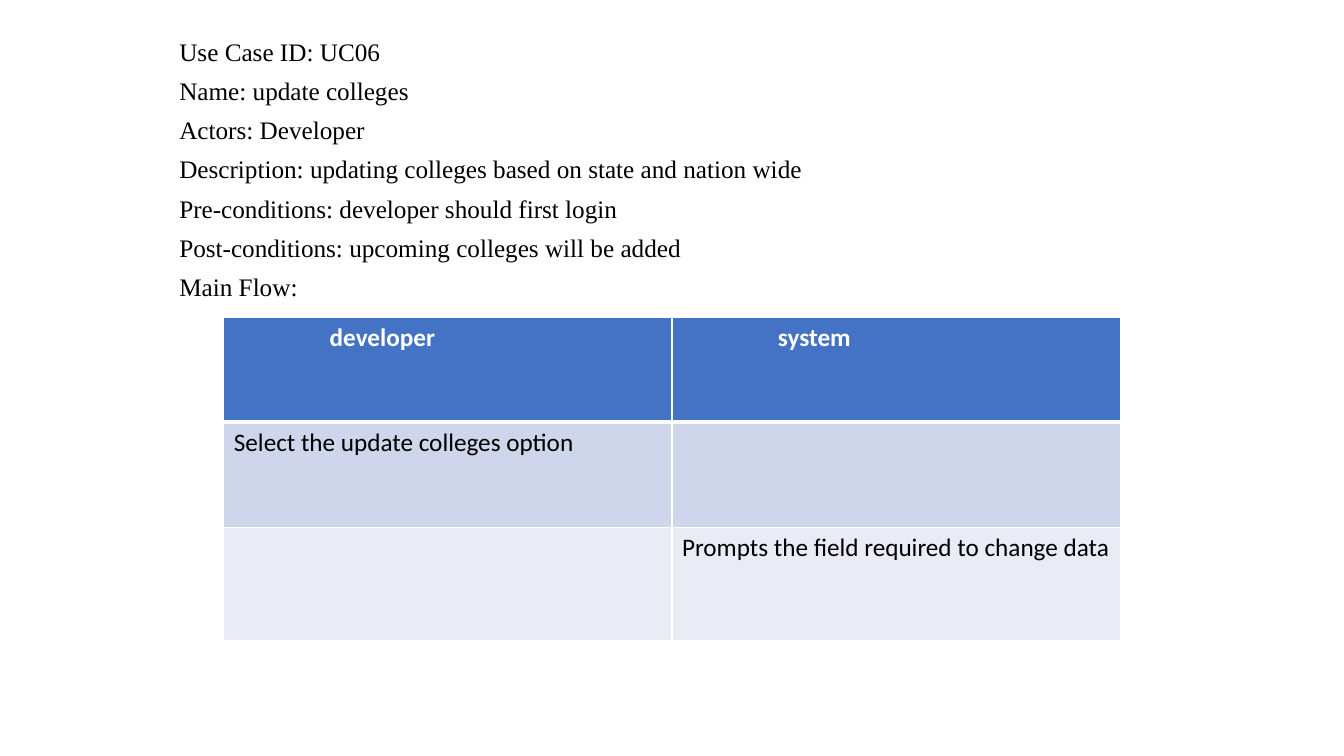
from dataclasses import dataclass

from lxml.etree import SubElement
from pptx import Presentation
from pptx.dml.color import RGBColor as Rgb
from pptx.enum.text import MSO_AUTO_SIZE as AutoSize
from pptx.oxml.ns import qn
from pptx.util import Pt

PX = 9144
DETAILS_BOX = (168, 22, 832, 281)
FLOW_BOX = (222, 315, 889, 320)
ROW_HEIGHTS = (104, 104, 113)
HEADER_INDENT = 105

DETAILS = (
    "Use Case ID: UC06",
    "Name: update colleges",
    "Actors: Developer",
    "Description: updating colleges based on state and nation wide",
    "Pre-conditions: developer should first login",
    "Post-conditions: upcoming colleges will be added",
    "Main Flow:",
)
FLOW = (
    ("developer", "system"),
    ("Select the update colleges option", ""),
    ("", "Prompts the field required to change data"),
)


@dataclass(frozen=True)
class Theme:
    """Colours, fonts and sizes of the slide."""

    ink: str = "000000"
    white: str = "FFFFFF"
    row_fills: tuple = ("4472C4", "CFD5EA", "E9EBF5")
    details_font: str = "Times New Roman"
    flow_font: str = "Calibri"
    text_size: int = 18
    line_spacing: int = 28
    thin_rule: int = 1
    header_rule: int = 3


THEME = Theme()


def set_font(paragraph, family, color, bold=False):
    """Style a whole paragraph."""
    font = paragraph.font
    font.name, font.size, font.bold = family, Pt(THEME.text_size), bold
    font.color.rgb = Rgb.from_string(color)


def set_borders(cell, top, bottom):
    """Draw white rules around a cell, with the given widths above and below."""
    properties = cell._tc.get_or_add_tcPr()
    widths = {"L": THEME.thin_rule, "R": THEME.thin_rule, "T": top, "B": bottom}
    for side, width in widths.items():
        rule = SubElement(properties, qn(f"a:ln{side}"), w=str(Pt(width)))
        SubElement(SubElement(rule, qn("a:solidFill")), qn("a:srgbClr"), val=THEME.white)


def add_details(slide, box):
    """Place the use case description, one line per paragraph."""
    frame = slide.shapes.add_textbox(*(length * PX for length in box)).text_frame
    frame.word_wrap = True
    frame.auto_size = AutoSize.SHAPE_TO_FIT_TEXT
    frame.text = "\n".join(DETAILS)
    for paragraph in frame.paragraphs:
        paragraph.line_spacing = Pt(THEME.line_spacing)
        set_font(paragraph, THEME.details_font, THEME.ink)


def add_flow(slide, box):
    """Place the main flow table with its header row."""
    frame = slide.shapes.add_table(len(FLOW), len(FLOW[0]), *(length * PX for length in box))
    table = frame.table
    for row, height in zip(table.rows, ROW_HEIGHTS):
        row.height = height * PX
    for r, steps in enumerate(FLOW):
        is_header = r == 0
        top = THEME.header_rule if r == 1 else THEME.thin_rule
        bottom = THEME.header_rule if is_header else THEME.thin_rule
        for c, step in enumerate(steps):
            cell = table.cell(r, c)
            set_borders(cell, top, bottom)
            cell.fill.solid()
            cell.fill.fore_color.rgb = Rgb.from_string(THEME.row_fills[r])
            cell.text = step
            if is_header:
                cell.margin_left = HEADER_INDENT * PX
            color = THEME.white if is_header else THEME.ink
            set_font(cell.text_frame.paragraphs[0], THEME.flow_font, color, is_header)


def main():
    """Build the use case slide."""
    deck = Presentation()
    deck.slide_width, deck.slide_height = 1333 * PX, 750 * PX
    slide = deck.slides.add_slide(deck.slide_layouts[6])
    add_details(slide, DETAILS_BOX)
    add_flow(slide, FLOW_BOX)
    deck.save("out.pptx")


if __name__ == "__main__":
    main()
